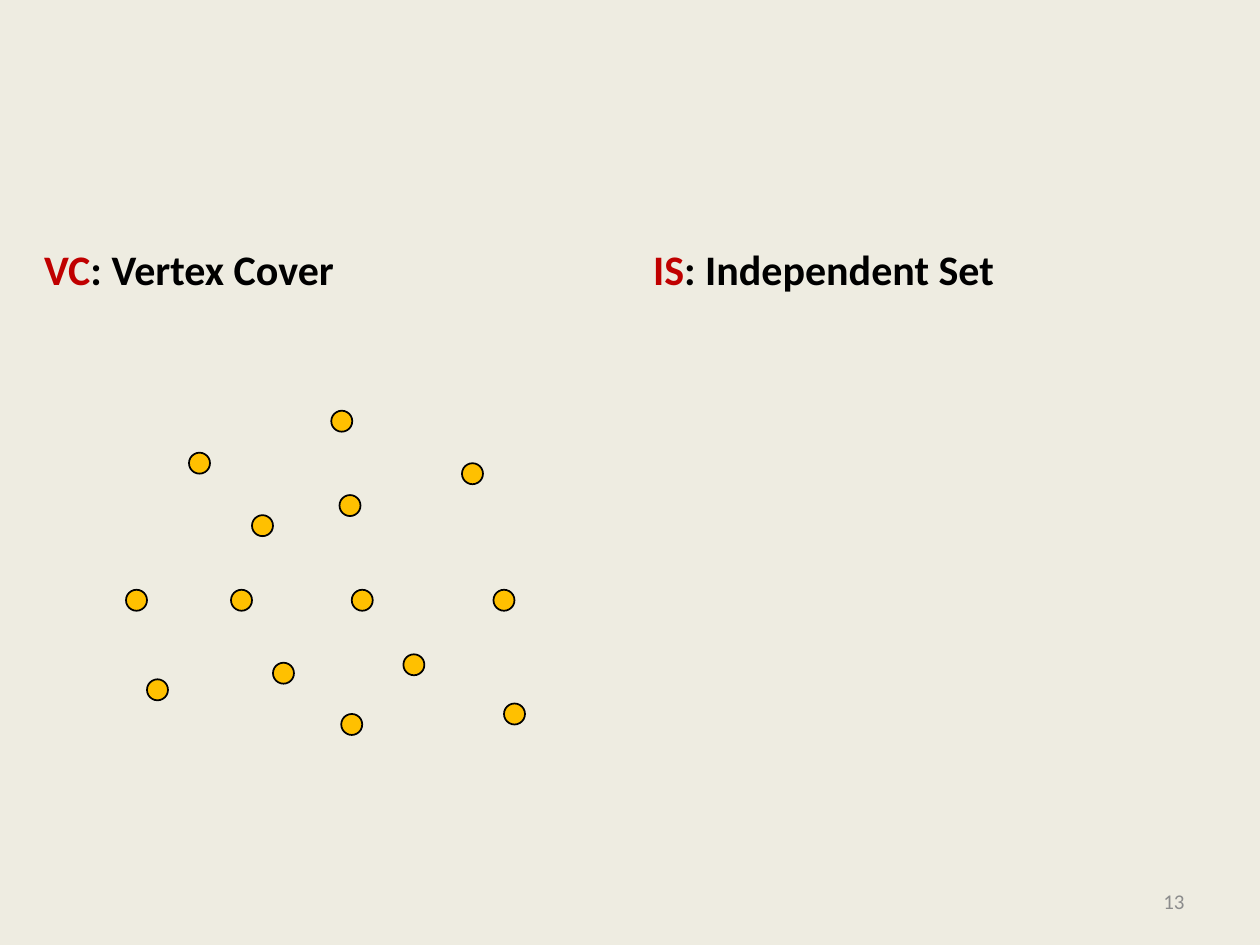
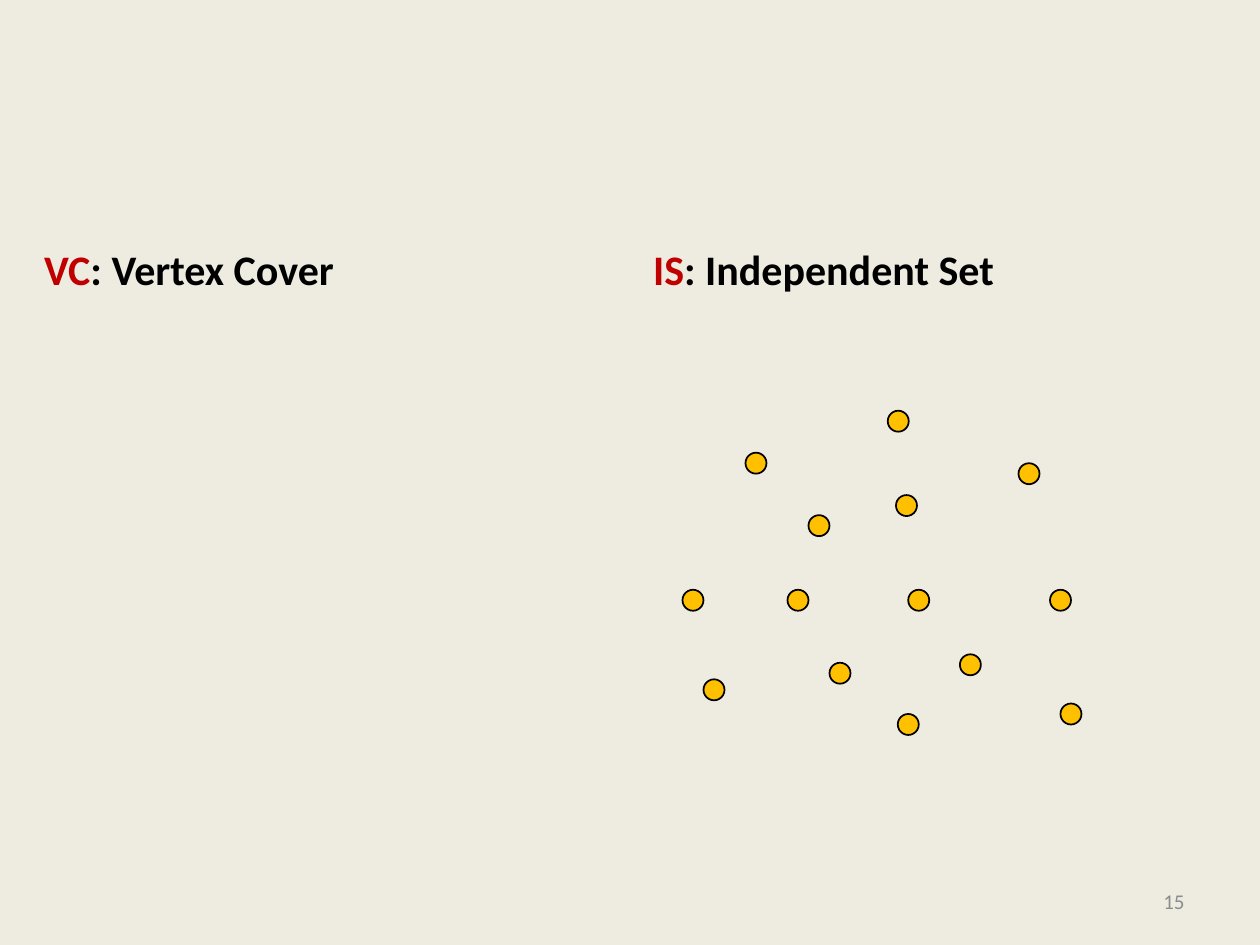
from typing import NamedTuple

from pptx import Presentation
from pptx.dml.color import RGBColor
from pptx.enum.shapes import MSO_SHAPE
from pptx.enum.text import MSO_ANCHOR, PP_ALIGN
from pptx.slide import Slide
from pptx.util import Pt

BACKGROUND = RGBColor(0xEE, 0xEC, 0xE1)
BLACK = RGBColor(0, 0, 0)
RED = RGBColor(0xC0, 0, 0)
AMBER = RGBColor(0xFF, 0xC0, 0)
GRAY = RGBColor(0x8C, 0x8C, 0x8C)
FONT = "Calibri"
COMPARISON_LAYOUT = 4
GRAPH_TOP = 234.7
VERTEX_SIZE = 12


class Heading(NamedTuple):
    placeholder: int
    left: float
    short: str
    name: str


class Vertex(NamedTuple):
    x: float
    y: float


class Page(NamedTuple):
    number: int
    graph_left: float


HEADINGS = [
    Heading(1, 18, "VC", "Vertex Cover"),
    Heading(3, 366, "IS", "Independent Set"),
]
# Offsets from the top left corner of the graph
VERTICES = [
    Vertex(36, 24), Vertex(117.3, 0), Vertex(60, 102.3), Vertex(192, 30),
    Vertex(122, 48.2), Vertex(12, 153.5), Vertex(216, 167.3),
    Vertex(129, 102.3), Vertex(123, 173.3), Vertex(210, 102.3),
    Vertex(0, 102.3), Vertex(158.5, 139.2), Vertex(72, 59.7),
    Vertex(84, 144),
]
PAGES = [Page(13, 72), Page(15, 390)]


def add_heading(s: Slide, heading: Heading) -> None:
    sp = s.placeholders[heading.placeholder]
    sp.left, sp.top = Pt(heading.left), Pt(121)
    sp.width, sp.height = Pt(318), Pt(50.4)
    tf = sp.text_frame
    tf.vertical_anchor = MSO_ANCHOR.BOTTOM
    p = tf.paragraphs[0]
    p.space_before = Pt(0)
    p.font.name, p.font.size, p.font.bold = FONT, Pt(24), True
    for text, color in ((heading.short, RED), (f": {heading.name}", BLACK)):
        r = p.add_run()
        r.text = text
        r.font.color.rgb = color


def add_page_number(s: Slide, number: int) -> None:
    sp = s.shapes.add_textbox(Pt(516), Pt(500.5), Pt(168), Pt(28.75))
    tf = sp.text_frame
    tf.word_wrap = True
    tf.vertical_anchor = MSO_ANCHOR.MIDDLE
    p = tf.paragraphs[0]
    p.text = str(number)
    p.alignment = PP_ALIGN.RIGHT
    p.font.name, p.font.size = FONT, Pt(12)
    p.font.color.rgb = GRAY


def add_graph(s: Slide, left: float) -> None:
    group = s.shapes.add_group_shape()
    for vertex in VERTICES:
        sp = group.shapes.add_shape(
            MSO_SHAPE.OVAL, Pt(left + vertex.x), Pt(GRAPH_TOP + vertex.y),
            Pt(VERTEX_SIZE), Pt(VERTEX_SIZE))
        sp.shadow.inherit = False
        sp.fill.solid()
        sp.fill.fore_color.rgb = AMBER
        sp.line.color.rgb = BLACK
        sp.line.width = Pt(1)


def remove_empty_placeholders(s: Slide) -> None:
    for sp in list(s.placeholders):
        if not sp.text_frame.text:
            sp.element.getparent().remove(sp.element)


def main() -> None:
    prs = Presentation()
    prs.slide_width, prs.slide_height = Pt(720), Pt(540)
    fill = prs.slide_master.background.fill
    fill.solid()
    fill.fore_color.rgb = BACKGROUND
    for page in PAGES:
        s = prs.slides.add_slide(prs.slide_layouts[COMPARISON_LAYOUT])
        for heading in HEADINGS:
            add_heading(s, heading)
        remove_empty_placeholders(s)
        add_page_number(s, page.number)
        add_graph(s, page.graph_left)
    prs.save("out.pptx")


if __name__ == "__main__":
    main()
